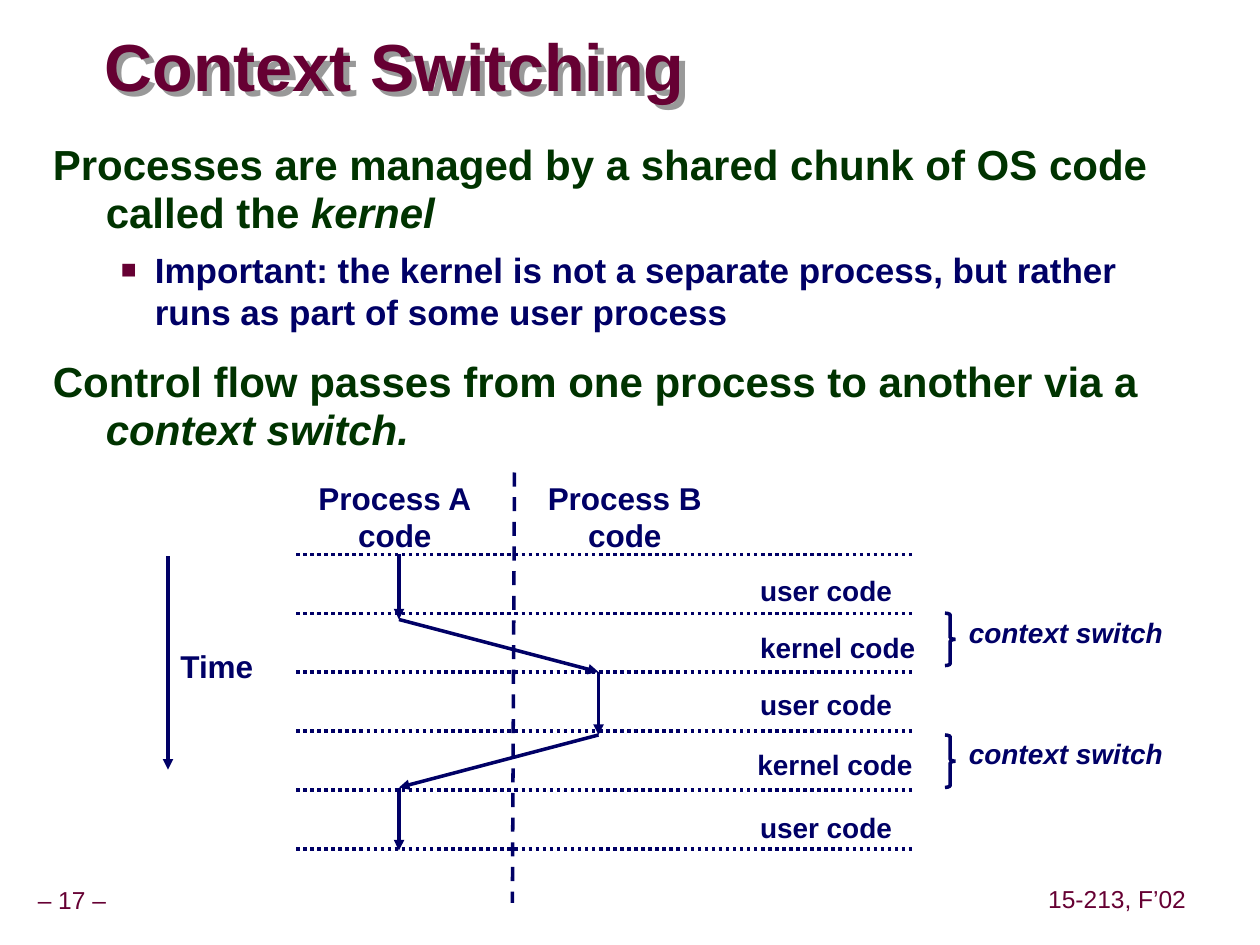
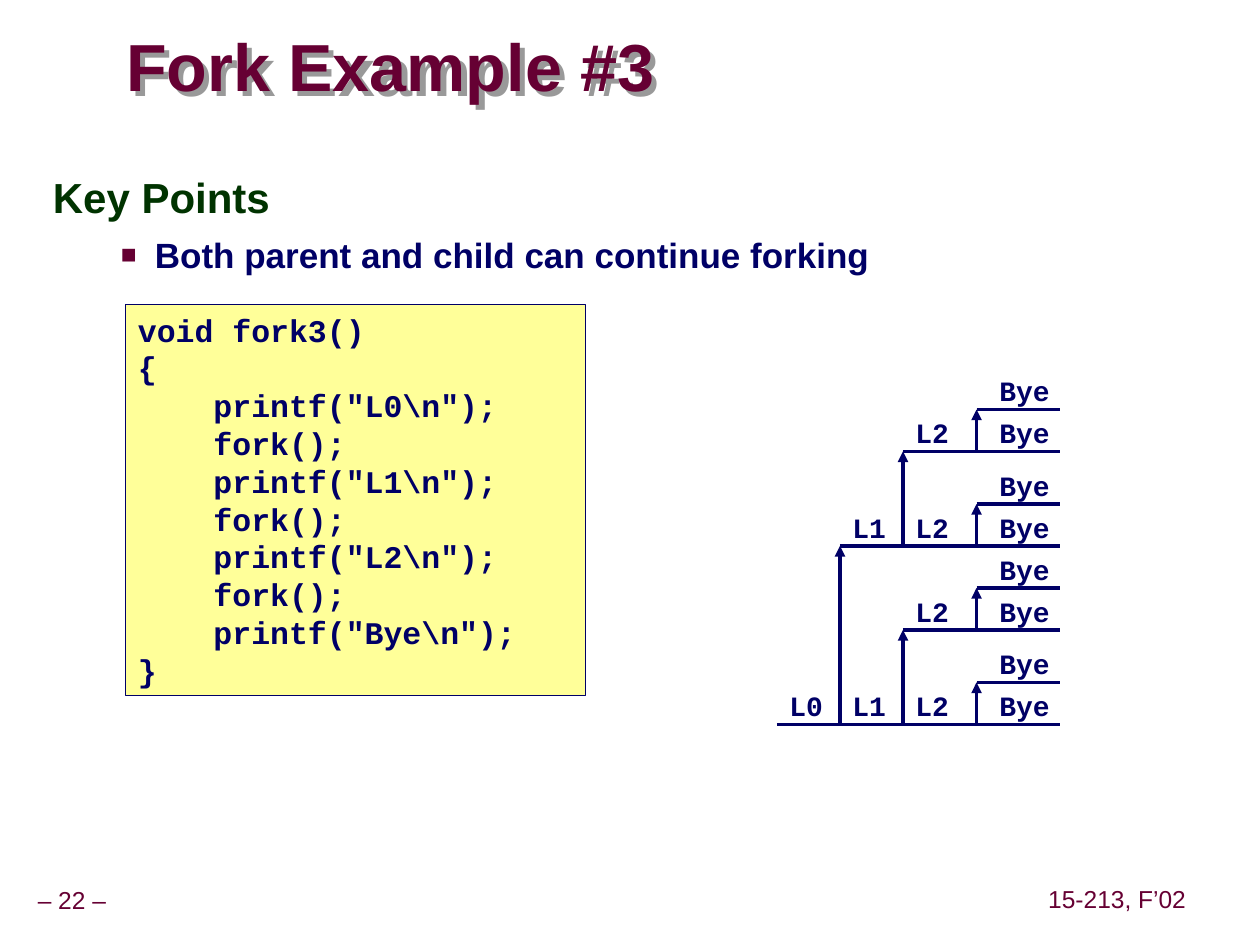
from lxml.etree import SubElement
from pptx import Presentation
from pptx.dml.color import RGBColor
from pptx.enum.dml import MSO_LINE_DASH_STYLE as Dash
from pptx.enum.shapes import MSO_CONNECTOR, MSO_SHAPE
from pptx.enum.text import MSO_ANCHOR as Anchor, MSO_AUTO_SIZE as AutoSize, PP_ALIGN as Align
from pptx.oxml.ns import qn
from pptx.util import Emu, Inches, Pt

COLORS = {"maroon": "660033", "green": "003300", "navy": "000066",
          "code": "FFFF99", "shadow": "999999"}
SANS, MONO = "Arial", "Courier New"

# The slide is a grid of 120 columns by 90 rows, twelve cells to the inch
CELL = Inches(1) / 12

FOOTER = dict(size=14, color="maroon")
TITLE = dict(size=38, color="maroon", bold=True)
HEADING = dict(size=18, color="navy", bold=True)
LABEL = dict(size=16, color="navy", bold=True)
CODE = dict(HEADING, name=MONO)
OUTPUT = dict(LABEL, name=MONO)
BODY_LEVELS = [
    dict(font=dict(size=24, color="green", bold=True), margin=0.42, indent=-0.42,
         spacing=0.95, before=15),
    dict(font=dict(size=20, color="navy", bold=True), margin=0.81, indent=-0.27,
         spacing=1.0, before=6.2),
]

FORK_CODE = r'''void fork3()
{
    printf("L0\n");
    fork();
    printf("L1\n");
    fork();
    printf("L2\n");
    fork();
    printf("Bye\n");
}'''

# Fork tree: column where each level starts, and rows a child rises above its parent
LEVEL_COLUMNS = [74, 80, 86, 93]
CHILD_RISES = [17, 9, 4]
TREE_END = 101


def cells(*lengths):
    return [Emu(round(length * CELL)) for length in lengths]


def rgb(color):
    return RGBColor.from_string(COLORS[color])


def style_font(font, size, color, name=SANS, **formats):
    font.size, font.name = Pt(size), name
    font.color.rgb = rgb(color)
    for key, value in formats.items():
        setattr(font, key, value)


def set_frame(frame, insets=(0.1, 0.05), **formats):
    across, down = map(Inches, insets)
    settings = dict(margin_left=across, margin_right=across,
                    margin_top=down, margin_bottom=down, **formats)
    for key, value in settings.items():
        setattr(frame, key, value)


def write_lines(frame, text, font, align=Align.LEFT, spacing=1.0):
    for number, line in enumerate(text.split("\n")):
        paragraph = frame.add_paragraph() if number else frame.paragraphs[0]
        paragraph.alignment, paragraph.line_spacing = align, spacing
        run = paragraph.add_run()
        run.text = line
        style_font(run.font, **font)


def add_label(slide, box, text, font, align=Align.LEFT):
    label = slide.shapes.add_textbox(*cells(*box))
    set_frame(label.text_frame, word_wrap=False, auto_size=AutoSize.SHAPE_TO_FIT_TEXT)
    write_lines(label.text_frame, text, font, align)


def add_line(slide, start, end, arrow=False, dash=None):
    line = slide.shapes.add_connector(MSO_CONNECTOR.STRAIGHT, *cells(*start, *end))
    line.line.color.rgb, line.line.width = rgb("navy"), Pt(2)
    if dash:
        line.line.dash_style = dash
    if arrow:
        SubElement(line.line._get_or_add_ln(), qn("a:tailEnd"), type="triangle")
    SubElement(line._element.spPr, qn("a:effectLst"))


def add_brace(slide, column, row):
    brace = slide.shapes.add_shape(MSO_SHAPE.RIGHT_BRACE, *cells(column, row, 1, 5))
    brace.shadow.inherit = False
    brace.adjustments[0] = 0.2
    brace.fill.background()
    brace.line.color.rgb, brace.line.width = rgb("navy"), Pt(2)
    SubElement(brace.line._get_or_add_ln(), qn("a:miter"), lim="800000")


def add_title(slide, column, text):
    title = slide.shapes.add_textbox(*cells(column, 3, 76, 7.5))
    set_frame(title.text_frame, (0, 0), word_wrap=True, vertical_anchor=Anchor.MIDDLE)
    write_lines(title.text_frame, text, TITLE, spacing=0.87)
    # Hard grey shadow, down and to the right
    effects = SubElement(title._element.spPr, qn("a:effectLst"))
    shadow = SubElement(effects, qn("a:outerShdw"), dist=str(Inches(0.06)), dir="2700000")
    SubElement(shadow, qn("a:srgbClr"), val=COLORS["shadow"])


def add_footer(slide, box, text):
    footer = slide.shapes.add_textbox(*cells(*box))
    set_frame(footer.text_frame, (0.05, 0.05), word_wrap=False,
              vertical_anchor=Anchor.MIDDLE, auto_size=AutoSize.SHAPE_TO_FIT_TEXT)
    write_lines(footer.text_frame, text, FOOTER, Align.CENTER, 0.9)


def add_bullet(properties):
    color = SubElement(properties, qn("a:buClr"))
    SubElement(color, qn("a:srgbClr"), val=COLORS["maroon"])
    SubElement(properties, qn("a:buSzPct"), val="75000")
    SubElement(properties, qn("a:buFont"), typeface=SANS)
    SubElement(properties, qn("a:buChar"), char="■")


def add_body(slide, box, points):
    """Each point is (level, plain text, italic ending)."""
    body = slide.shapes.add_textbox(*cells(*box))
    set_frame(body.text_frame, word_wrap=True)
    for number, (level, plain, italic) in enumerate(points):
        look = BODY_LEVELS[level]
        paragraph = body.text_frame.add_paragraph() if number else body.text_frame.paragraphs[0]
        paragraph.level, paragraph.line_spacing = level, look["spacing"]
        paragraph.space_before = Pt(look["before"] if number else 0)
        properties = paragraph._p.get_or_add_pPr()
        properties.set("marL", str(Inches(look["margin"])))
        properties.set("indent", str(Inches(look["indent"])))
        if level:
            add_bullet(properties)
        for text, slanted in ((plain, False), (italic, True)):
            if text:
                run = paragraph.add_run()
                run.text = text
                style_font(run.font, italic=slanted, **look["font"])


def add_code(slide, box, code):
    panel = slide.shapes.add_shape(MSO_SHAPE.RECTANGLE, *cells(*box))
    panel.shadow.inherit = False
    panel.fill.solid()
    panel.fill.fore_color.rgb = rgb("code")
    panel.line.color.rgb, panel.line.width = rgb("navy"), Pt(0.25)
    set_frame(panel.text_frame, word_wrap=False, vertical_anchor=Anchor.TOP,
              auto_size=AutoSize.SHAPE_TO_FIT_TEXT)
    write_lines(panel.text_frame, code, CODE)


def add_process(slide, level, row):
    """Draw one process from its first level on, then each child it forks."""
    add_line(slide, (LEVEL_COLUMNS[level], row), (TREE_END, row))
    for step in range(level, len(CHILD_RISES)):
        fork_column, child_row = LEVEL_COLUMNS[step + 1], row - CHILD_RISES[step]
        add_label(slide, (LEVEL_COLUMNS[step], row - 4, 5.8, 4.4), f"L{step}", OUTPUT)
        add_line(slide, (fork_column, row), (fork_column, child_row), arrow=True)
        add_process(slide, step + 1, child_row)
    add_label(slide, (LEVEL_COLUMNS[-1] + 1, row - 4, 7.4, 4.4), "Bye", OUTPUT)


def start_slide(deck, number, title, title_column):
    slide = deck.slides.add_slide(deck.slide_layouts[6])
    add_footer(slide, (-1, 84, 15.7, 3.7), f"– {number} –")
    add_footer(slide, (99.2, 83.9, 14.4, 3.7), "15-213, F’02")
    add_title(slide, title_column, title)
    return slide


def build_context_switching(deck):
    slide = start_slide(deck, 17, "Context Switching", 9.95)
    add_body(slide, (3.85, 12.95, 108.8, 33.5), [
        (0, "Processes are managed by a shared chunk of OS code called the ", "kernel"),
        (1, "Important: the kernel is not a separate process, but rather "
            "runs as part of some user process", ""),
        (0, "Control flow passes from one process to another via a ", "context switch."),
    ])

    # Process columns and the control flow between them
    for column, process in ((28.9, "A"), (50.8, "B")):
        add_label(slide, (column, 45, 17.4, 8.4), f"Process {process}\ncode",
                  HEADING, Align.CENTER)
    a, b = 38, 57
    flow = [(a, 52.8), (a, 59), (b, 64), (b, 70), (a, 75), (a, 81)]
    for start, end in zip(flow, flow[1:]):
        add_line(slide, start, end, arrow=True)
    add_line(slide, (49, 45), (48.8, 86), dash=Dash.DASH)

    # Phases, parted by dotted lines
    for phase in range(6):
        row = 52.8 + 5.61 * phase
        add_line(slide, (28.2, row), (87.1, row), dash=Dash.ROUND_DOT)
    phases = [(71.2, 54, "user"), (71.2, 59.45, "kernel"), (71.2, 64.85, "user"),
              (70.95, 70.6, "kernel"), (71.2, 76.6, "user")]
    for column, row, mode in phases:
        add_label(slide, (column, row, 17.4 if mode == "kernel" else 15.2, 4.4),
                  f"{mode} code", LABEL)

    # Time axis
    add_line(slide, (16, 53), (16, 73.3), arrow=True)
    add_label(slide, (16, 61, 9.6, 4.8), "Time", HEADING)

    # Switches
    for row in (58.4, 70):
        add_brace(slide, 90, row)
        add_label(slide, (91.1, row - 0.4, 21.1, 4.4), "context switch", dict(LABEL, italic=True))


def build_fork_example(deck):
    slide = start_slide(deck, 22, "Fork Example #3", 12)
    add_code(slide, (11.95, 29, 43.8, 37.2), FORK_CODE)
    add_body(slide, (3.85, 16.05, 109.1, 68.5), [
        (0, "Key Points", ""),
        (1, "Both parent and child can continue forking", ""),
    ])
    add_process(slide, 0, 69)


def main():
    deck = Presentation()
    deck.slide_width, deck.slide_height = cells(120, 90)
    build_context_switching(deck)
    build_fork_example(deck)
    deck.save("out.pptx")


if __name__ == "__main__":
    main()
